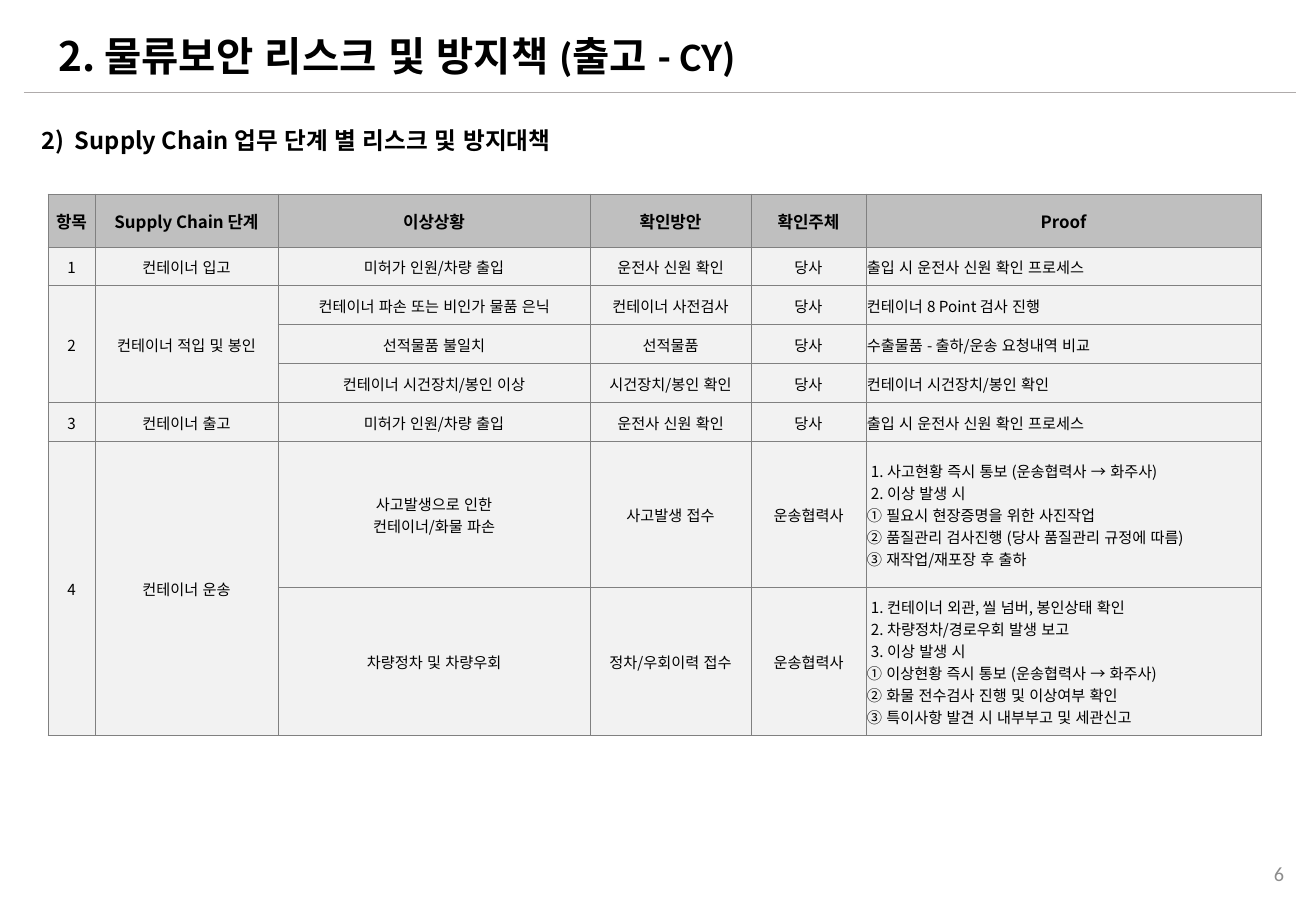
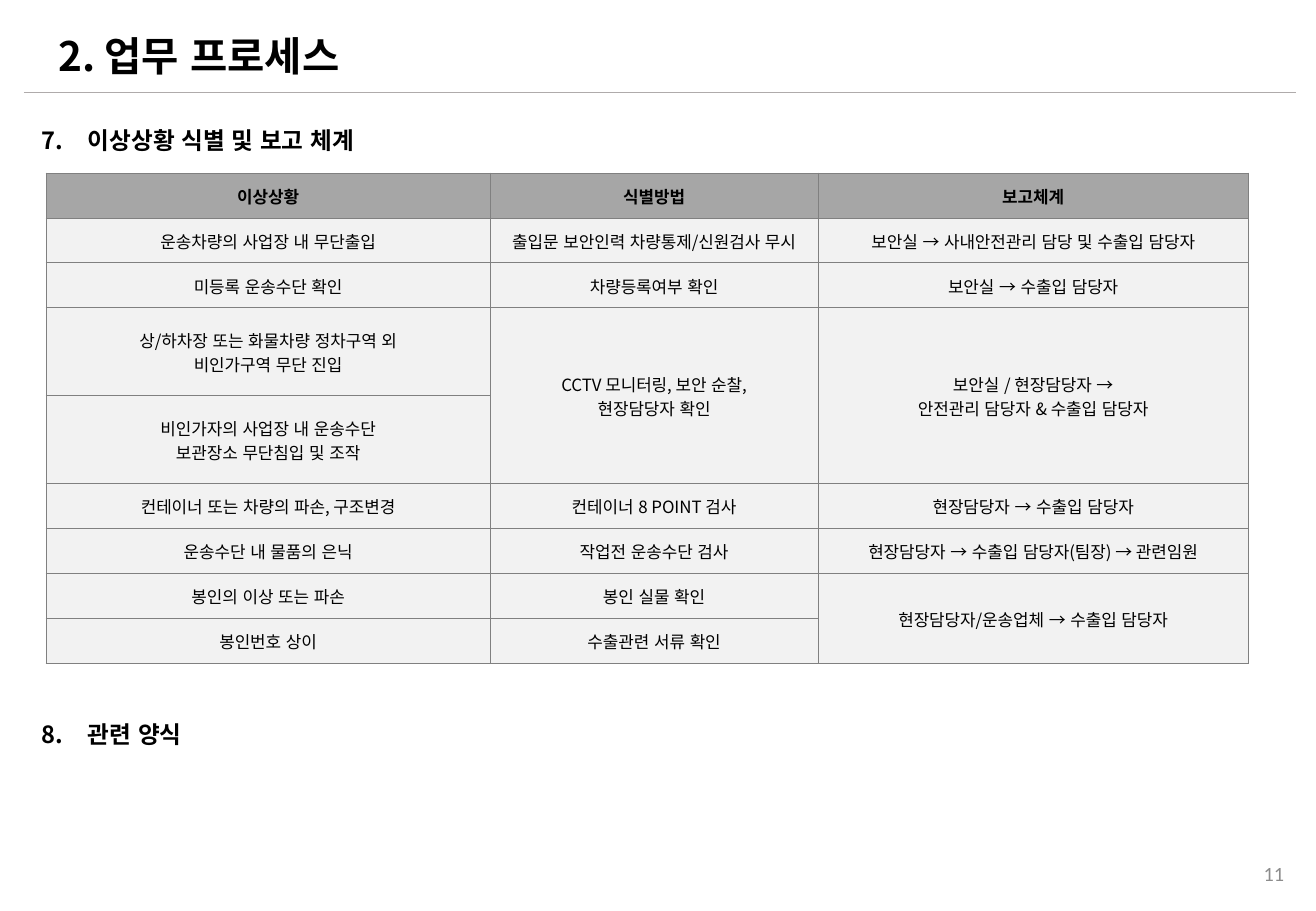
import pptx
import pptx.dml.color
import pptx.enum.lang
import pptx.enum.shapes
import pptx.enum.text
import pptx.oxml.ns
import pptx.util
from lxml import etree

EMU_PER_PX = 914400 / 121.5
KOREAN_FONT = "Noto Sans CJK KR"
LATIN_FONT = "Calibri"
BLACK, PAGE_GRAY, RULE_GRAY = "000000", "8C8C8C", "AFABAB"
BORDER_GRAY, BODY_FILL = "808080", "F2F2F2"
ALIGN = pptx.enum.text.PP_ALIGN
ANCHOR = pptx.enum.text.MSO_ANCHOR

RISK_COLUMNS = [47, 183, 312, 161, 115, 395]
RISK_HEIGHTS = [53] + [39] * 5 + [146, 148]
# None continues the cell above.
RISK_ROWS = [
    ["항목", "Supply Chain 단계", "이상상황", "확인방안", "확인주체", "Proof"],
    ["1", "컨테이너 입고", "미허가 인원/차량 출입", "운전사 신원 확인", "당사",
     "출입 시 운전사 신원 확인 프로세스"],
    ["2", "컨테이너 적입 및 봉인", "컨테이너 파손 또는 비인가 물품 은닉", "컨테이너 사전검사",
     "당사", "컨테이너 8 Point 검사 진행"],
    [None, None, "선적물품 불일치", "선적물품", "당사", "수출물품 - 출하/운송 요청내역 비교"],
    [None, None, "컨테이너 시건장치/봉인 이상", "시건장치/봉인 확인", "당사",
     "컨테이너 시건장치/봉인 확인"],
    ["3", "컨테이너 출고", "미허가 인원/차량 출입", "운전사 신원 확인", "당사",
     "출입 시 운전사 신원 확인 프로세스"],
    ["4", "컨테이너 운송", "사고발생으로 인한\n컨테이너/화물 파손", "사고발생 접수", "운송협력사",
     "1. 사고현황 즉시 통보 (운송협력사 → 화주사)\n2. 이상 발생 시\n"
     "① 필요시 현장증명을 위한 사진작업\n② 품질관리 검사진행 (당사 품질관리 규정에 따름)\n"
     "③ 재작업/재포장 후 출하"],
    [None, None, "차량정차 및 차량우회", "정차/우회이력 접수", "운송협력사",
     "1. 컨테이너 외관, 씰 넘버, 봉인상태 확인\n2. 차량정차/경로우회 발생 보고\n"
     "3. 이상 발생 시\n① 이상현황 즉시 통보 (운송협력사 → 화주사)\n"
     "② 화물 전수검사 진행 및 이상여부 확인\n③ 특이사항 발견 시 내부부고 및 세관신고"],
]

REPORT_COLUMNS = [444, 328, 430]
REPORT_HEIGHTS = [45] * 3 + [88] * 2 + [45] * 4
REPORT_ROWS = [
    ["이상상황", "식별방법", "보고체계"],
    ["운송차량의 사업장 내 무단출입", "출입문 보안인력 차량통제/신원검사 무시",
     "보안실 → 사내안전관리 담당 및 수출입 담당자"],
    ["미등록 운송수단 확인", "차량등록여부 확인", "보안실 → 수출입 담당자"],
    ["상/하차장 또는 화물차량 정차구역 외\n비인가구역 무단 진입",
     "CCTV 모니터링, 보안 순찰,\n현장담당자 확인",
     "보안실 / 현장담당자 →\n안전관리 담당자 & 수출입 담당자"],
    ["비인가자의 사업장 내 운송수단\n보관장소 무단침입 및 조작", None, None],
    ["컨테이너 또는 차량의 파손, 구조변경", "컨테이너 8 POINT 검사", "현장담당자 → 수출입 담당자"],
    ["운송수단 내 물품의 은닉", "작업전 운송수단 검사",
     "현장담당자 → 수출입 담당자(팀장) → 관련임원"],
    ["봉인의 이상 또는 파손", "봉인 실물 확인", "현장담당자/운송업체 → 수출입 담당자"],
    ["봉인번호 상이", "수출관련 서류 확인", None],
]


def px(length):
    return pptx.util.Emu(round(length * EMU_PER_PX))


def color(value):
    return pptx.dml.color.RGBColor.from_string(value)


def add_element(parent, tag, **attributes):
    element = etree.SubElement(parent, pptx.oxml.ns.qn(tag))
    for name, value in attributes.items():
        element.set(name, str(value))
    return element


def add_run(paragraph, text, size, bold=False, fill=BLACK, font=KOREAN_FONT):
    run = paragraph.add_run()
    run.text = text
    run.font.size = pptx.util.Pt(size)
    run.font.bold = bold
    run.font.name = font
    run.font.color.rgb = color(fill)
    run.font.language_id = pptx.enum.lang.MSO_LANGUAGE_ID.KOREAN
    add_element(run.font._element, "a:ea", typeface=KOREAN_FONT)


def write_text(text_frame, text, align=ALIGN.LEFT, spacing=1.0, **format):
    """Write one paragraph for each line of text and return them."""
    paragraphs = []
    for number, line in enumerate(text.split("\n")):
        paragraph = text_frame.add_paragraph() if number else text_frame.paragraphs[0]
        paragraph.alignment = align
        paragraph.line_spacing = spacing
        add_run(paragraph, line, **format)
        paragraphs.append(paragraph)
    return paragraphs


def indent(paragraph, left, first=0):
    properties = paragraph._p.get_or_add_pPr()
    properties.set("marL", str(px(left)))
    properties.set("indent", str(px(first)))
    return properties


def add_text_box(slide, box, margin=0, anchor=ANCHOR.TOP):
    text_frame = slide.shapes.add_textbox(*map(px, box)).text_frame
    text_frame.word_wrap = True
    text_frame.vertical_anchor = anchor
    text_frame.margin_left = text_frame.margin_right = px(margin)
    text_frame.margin_top = text_frame.margin_bottom = 0
    return text_frame


def add_page(presentation, title, page_number):
    """Add a slide with its title, rule and page number."""
    slide = presentation.slides.add_slide(presentation.slide_layouts[5])
    shape = slide.shapes.title
    shape.left, shape.top, shape.width, shape.height = map(px, (46, 27, 1135, 63))
    shape.text_frame.auto_size = pptx.enum.text.MSO_AUTO_SIZE.NONE
    shape.text_frame.vertical_anchor = ANCHOR.MIDDLE
    write_text(shape.text_frame, title, spacing=0.9, size=24, bold=True)

    rule = slide.shapes.add_connector(
        pptx.enum.shapes.MSO_CONNECTOR.STRAIGHT, px(24), px(92), px(1296), px(92))
    rule.line.color.rgb = color(RULE_GRAY)
    rule.line.width = pptx.util.Pt(0.5)
    add_element(rule._element.spPr, "a:effectLst")

    footer = add_text_box(slide, (1000, 849, 296, 49), margin=12, anchor=ANCHOR.MIDDLE)
    write_text(footer, str(page_number), align=ALIGN.RIGHT, size=12,
               fill=PAGE_GRAY, font=LATIN_FONT)
    return slide


def add_heading(slide, text, top, hanging, start=None):
    """Add a heading with a hanging indent, numbered when start is given."""
    text_frame = add_text_box(slide, (42, top, 1224, 34))
    paragraph = write_text(text_frame, text, size=14, bold=True)[0]
    properties = indent(paragraph, hanging, -hanging)
    if start:
        add_element(properties, "a:buFont", typeface="+mj-lt")
        add_element(properties, "a:buAutoNum", type="arabicPeriod", startAt=start)


def format_cell(cell, fill):
    cell.margin_left = cell.margin_right = cell.margin_top = px(1)
    cell.margin_bottom = 0
    cell.vertical_anchor = ANCHOR.MIDDLE
    properties = cell._tc.get_or_add_tcPr()
    for side in "LRTB":
        line = add_element(properties, f"a:ln{side}", w=pptx.util.Pt(0.5))
        add_element(add_element(line, "a:solidFill"), "a:srgbClr", val=BORDER_GRAY)
    cell.fill.solid()
    cell.fill.fore_color.rgb = color(fill)


def add_grid(slide, left, top, columns, heights, rows, header_fill, size, left_column=None):
    """Add a table; body cells of left_column are aligned left."""
    table = slide.shapes.add_table(len(rows), len(columns), px(left), px(top),
                                   px(sum(columns)), px(sum(heights))).table
    table.first_row = table.horz_banding = False
    for column, width in zip(table.columns, columns):
        column.width = px(width)
    for row, height in zip(table.rows, heights):
        row.height = px(height)

    for row_index, row in enumerate(rows):
        header = row_index == 0
        for column_index, text in enumerate(row):
            cell = table.cell(row_index, column_index)
            format_cell(cell, header_fill if header else BODY_FILL)
            if text is None:
                continue
            to_left = column_index == left_column and not header
            paragraphs = write_text(
                cell.text_frame, text, align=ALIGN.LEFT if to_left else ALIGN.CENTER,
                size=10 if header else size, bold=header)
            for paragraph in paragraphs:
                if to_left and paragraph.text[0].isdecimal():
                    indent(paragraph, 4)

            last = row_index
            while last + 1 < len(rows) and rows[last + 1][column_index] is None:
                last += 1
            if last > row_index:
                cell.merge(table.cell(last, column_index))


def add_risk_slide(presentation):
    slide = add_page(presentation, "2. 물류보안 리스크 및 방지책 ", 6)
    add_run(slide.shapes.title.text_frame.paragraphs[0], "(출고 - CY)",
            size=24, bold=True, font=LATIN_FONT)
    add_grid(slide, 48, 194, RISK_COLUMNS, RISK_HEIGHTS, RISK_ROWS,
             header_fill="BFBFBF", size=9, left_column=5)
    add_heading(slide, "2)\tSupply Chain 업무 단계 별 리스크 및 방지대책", top=126, hanging=33)


def add_report_slide(presentation):
    slide = add_page(presentation, "2. 업무 프로세스", 11)
    add_heading(slide, "이상상황 식별 및 보고 체계", top=126, hanging=46, start=7)
    add_heading(slide, "관련 양식", top=720, hanging=46, start=8)
    add_grid(slide, 46, 173, REPORT_COLUMNS, REPORT_HEIGHTS, REPORT_ROWS,
             header_fill="A6A6A6", size=10)


def main():
    presentation = pptx.Presentation()
    presentation.slide_width = pptx.util.Inches(10.83)
    presentation.slide_height = pptx.util.Inches(7.5)
    add_risk_slide(presentation)
    add_report_slide(presentation)
    presentation.save("out.pptx")


if __name__ == "__main__":
    main()
